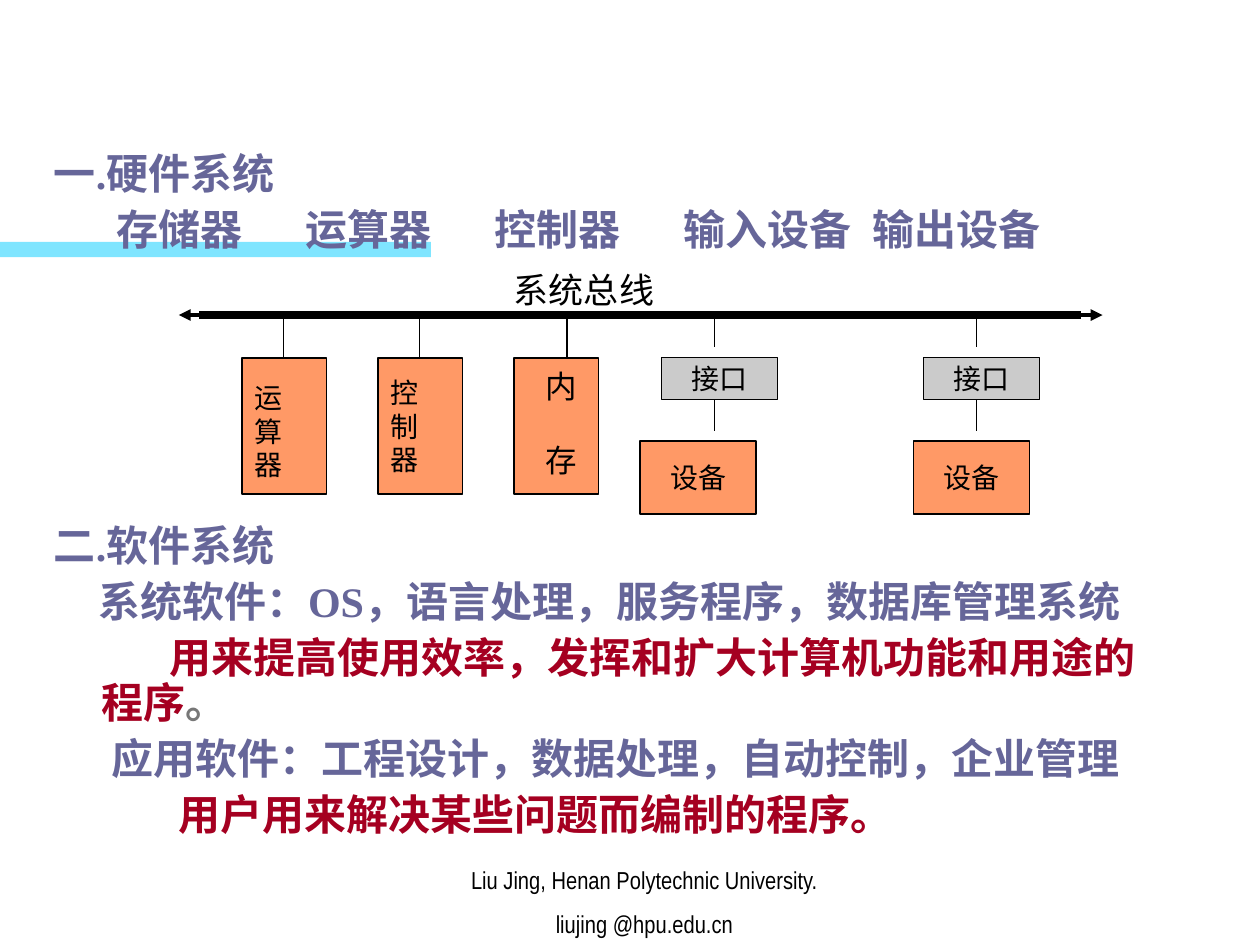
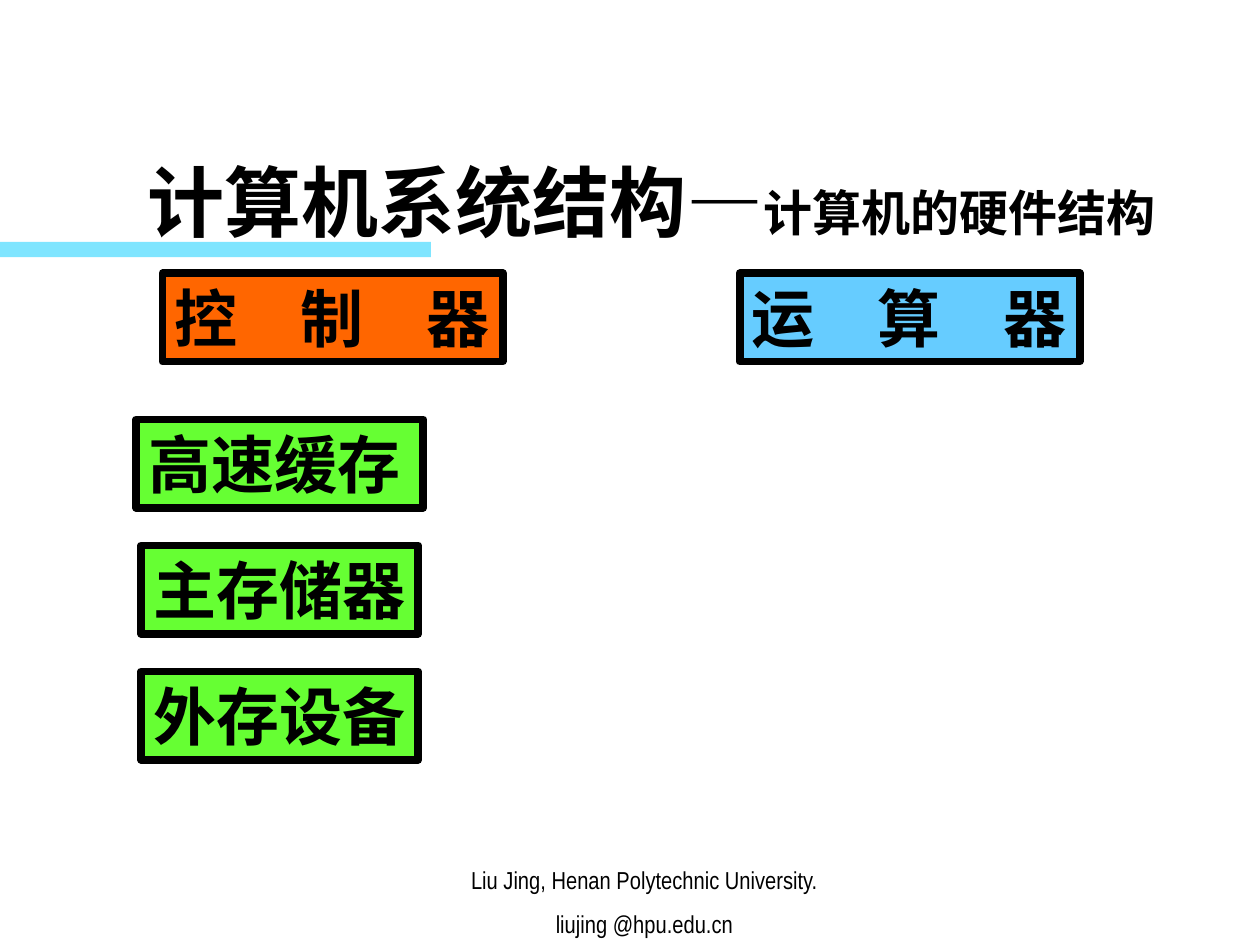
from dataclasses import dataclass

from lxml import etree
from pptx import Presentation
from pptx.dml.color import RGBColor
from pptx.enum.shapes import MSO_CONNECTOR, MSO_SHAPE
from pptx.enum.text import MSO_ANCHOR, PP_ALIGN
from pptx.oxml.ns import qn
from pptx.util import Inches, Pt

LINE = MSO_CONNECTOR.STRAIGHT
RECT = MSO_SHAPE.RECTANGLE
TOP, MID, BOTTOM = MSO_ANCHOR.TOP, MSO_ANCHOR.MIDDLE, MSO_ANCHOR.BOTTOM
LEFT, CENTER = PP_ALIGN.LEFT, PP_ALIGN.CENTER


@dataclass(frozen=True)
class Theme:
    black: str = "000000"
    band: str = "00CCFF"
    head: str = "666699"
    note: str = "A50021"
    gray: str = "777777"
    unit: str = "FF9966"
    port: str = "CBCBCB"
    store: str = "66FF33"
    control: str = "FF6600"
    arith: str = "66CCFF"
    serif: str = "Times New Roman"
    narrow: str = "Arial Narrow"
    sans: str = "Karla"
    foot: int = 14
    label: int = 16
    memory: int = 18
    bus: int = 20
    body: int = 24
    sub: int = 28
    block: int = 36
    title: int = 44
    thin: float = 0.75
    mid: float = 2.25
    thick: float = 4.5


class Deck:
    def __init__(self, theme):
        self.theme = theme
        self.prs = Presentation()
        self.prs.slide_width, self.prs.slide_height = Inches(10), Inches(7.5)
        self.slide = None

    def page(self):
        """Start a slide with the shared band and footer."""
        t = self.theme
        self.slide = self.prs.slides.add_slide(self.prs.slide_layouts[6])
        band = self.rect(0, 1.92, 3.42, 0.12, t.band)
        color = band.fill._xPr.find(".//" + qn("a:srgbClr"))
        etree.SubElement(color, qn("a:alpha"), val="50000")
        foot = self.text(3.03, 6.75, 4.17, 0.75, anchor=BOTTOM)
        lines = ("Liu Jing, Henan Polytechnic University.",
                 "liujing @hpu.edu.cn")
        for i, line in enumerate(lines):
            self.para(foot, line, t.foot, font=t.narrow, align=CENTER,
                      before=8.8 * i)

    def frame(self, shape, anchor, wrap):
        frame = shape.text_frame
        frame.word_wrap, frame.vertical_anchor = wrap, anchor
        return frame

    def text(self, x, y, w, h, anchor=TOP, wrap=True):
        box = self.slide.shapes.add_textbox(
            Inches(x), Inches(y), Inches(w), Inches(h))
        return self.frame(box, anchor, wrap)

    def rect(self, x, y, w, h, fill, line=None):
        box = self.slide.shapes.add_shape(
            RECT, Inches(x), Inches(y), Inches(w), Inches(h))
        box.shadow.inherit = False
        box.fill.solid()
        box.fill.fore_color.rgb = RGBColor.from_string(fill)
        if line:
            box.line.color.rgb = RGBColor.from_string(self.theme.black)
            box.line.width = Pt(line)
        else:
            box.line.fill.background()
        return box

    def para(self, frame, runs, size, color=None, bold=False, font=None,
             align=LEFT, before=0, space=None, margin=0, indent=0, tabs=()):
        """Add a paragraph; runs is a string or (text, style) pairs."""
        first = frame.paragraphs[0]
        p = frame.add_paragraph() if first.runs else first
        p.alignment, p.space_before = align, Pt(before)
        if space:
            p.line_spacing = space
        props = p._p.get_or_add_pPr()
        props.set("marL", str(Inches(margin)))
        props.set("indent", str(Inches(indent)))
        if tabs:
            stops = etree.SubElement(props, qn("a:tabLst"))
            for pos in tabs:
                etree.SubElement(stops, qn("a:tab"), pos=str(Inches(pos)),
                                 algn="l")
        self.style(p.font, size=size, color=color or self.theme.black,
                   bold=bold, name=font or self.theme.serif)
        for words, look in [(runs, {})] if isinstance(runs, str) else runs:
            run = p.add_run()
            run.text = words
            self.style(run.font, **look)

    def style(self, font, size=None, color=None, bold=None, name=None):
        if size:
            font.size = Pt(size)
        if color:
            font.color.rgb = RGBColor.from_string(color)
        if bold is not None:
            font.bold = bold
        if name:
            font.name = name

    def line(self, x1, y1, x2, y2, width, arrow=False):
        link = self.slide.shapes.add_connector(
            LINE, Inches(x1), Inches(y1), Inches(x2), Inches(y2))
        link.line.color.rgb = RGBColor.from_string(self.theme.black)
        link.line.width = Pt(width)
        if arrow:
            etree.SubElement(link.line._get_or_add_ln(), qn("a:tailEnd"),
                             type="triangle")
        etree.SubElement(link._element.spPr, qn("a:effectLst"))

    def node(self, x, y, w, h, fill, label):
        """Small box with a centred label."""
        box = self.rect(x, y, w, h, fill, self.theme.thin)
        self.para(self.frame(box, MID, False), label, self.theme.label,
                  align=CENTER)

    def unit(self, x, label, size, left, top, gap=0):
        """Tall box with one character per line."""
        box = self.rect(x, 2.84, 0.67, 1.08, self.theme.unit, self.theme.thin)
        frame = self.frame(box, TOP, True)
        frame.margin_left, frame.margin_top = Inches(left), Inches(top)
        for i, char in enumerate(label):
            self.para(frame, char, size, before=gap if i else 0)

    def block(self, x, y, w, fill, label, tabs=()):
        """Heavy framed box with a large bold label."""
        box = self.rect(x, y, w, 0.7, fill, self.theme.thick)
        self.para(self.frame(box, TOP, bool(tabs)), label, self.theme.block,
                  bold=True, tabs=tabs)


def systems(deck):
    t = deck.theme
    deck.page()

    # Hardware heading and its five parts
    look = dict(size=t.body, bold=True, space=0.9)
    hard = deck.text(0.33, 1.17, 8.92, 0.9)
    deck.para(hard, "一.硬件系统", color=t.head, **look)
    parts = ("存储器", "运算器", "控制器", "输入设备", "输出设备")
    deck.para(hard, "".join("\t" + part for part in parts), color=t.head,
              before=6, tabs=(0.28, 1.73, 3.34, 4.87, 6.81), **look)

    # Software heading and text
    soft = deck.text(0.33, 4.12, 8.92, 2.6)
    deck.para(soft, "二.软件系统", color=t.head, **look)
    use = [("用来提高使用效率，发挥和扩大计算机功能和用途的程序", {}),
           ("。", dict(color=t.gray))]
    rows = (
        ("系统软件：OS，语言处理，服务程序，数据库管理系统", t.head, 0.35, 0),
        (use, t.note, 0.38, 0.54),
        ("应用软件：工程设计，数据处理，自动控制，企业管理", t.head, 0.46, 0),
        ("用户用来解决某些问题而编制的程序。", t.note, 0.99, 0),
    )
    for words, color, margin, indent in rows:
        deck.para(soft, words, color=color, before=6, margin=margin,
                  indent=indent, **look)

    # System bus
    bus = 2.5
    deck.line(1.58, bus, 8.58, bus, t.thick)
    deck.line(8.5, bus, 8.75, bus, t.mid, arrow=True)
    deck.line(1.67, bus, 1.42, bus, t.mid, arrow=True)
    deck.para(deck.text(3.98, 2.08, 1.31, 0.44, wrap=False), "系统总线", t.bus)

    # Units on the bus
    deck.unit(1.92, "运算器", t.label, 0.1, 0.18)
    deck.unit(3, "控制器", t.label, 0.1, 0.14)
    deck.unit(4.08, "内存", t.memory, 0.25, 0.07, gap=21)
    for x in (2.25, 3.33, 4.5):
        deck.line(x, bus, x, 2.84, t.thin)

    # Devices behind their interfaces
    for x, port, tool in ((5.67, 5.25, 5.08), (7.75, 7.33, 7.25)):
        deck.node(port, 2.84, 0.92, 0.33, t.port, "接口")
        deck.node(tool, 3.5, 0.92, 0.58, t.unit, "设备")
        for y in (bus, 3.17):
            deck.line(x, y, x, y + 0.25, t.thin)


def hardware(deck):
    t = deck.theme
    deck.page()

    # Title
    title = deck.text(0.92, 1.17, 8.5, 0.84, anchor=MID)
    deck.para(title, [("计算机系统结构", {}),
                      ("—", dict(name=t.serif)),
                      ("计算机的硬件结构", dict(size=t.sub))],
              t.title, bold=True, font=t.sans, align=CENTER)

    # Processor parts
    stops = (0.73, 1.46)
    deck.block(1.29, 2.17, 2.7, t.control, "控\t制\t器", stops)
    deck.block(5.87, 2.17, 2.7, t.arith, "运\t算\t器", stops)

    # Storage levels
    deck.block(1.08, 3.33, 2.28, t.store, "高速缓存")
    for i, label in enumerate(("主存储器", "外存设备")):
        deck.block(1.12, 4.33 + i, 2.2, t.store, label)


def main():
    deck = Deck(Theme())
    systems(deck)
    hardware(deck)
    deck.prs.save("out.pptx")


if __name__ == "__main__":
    main()
